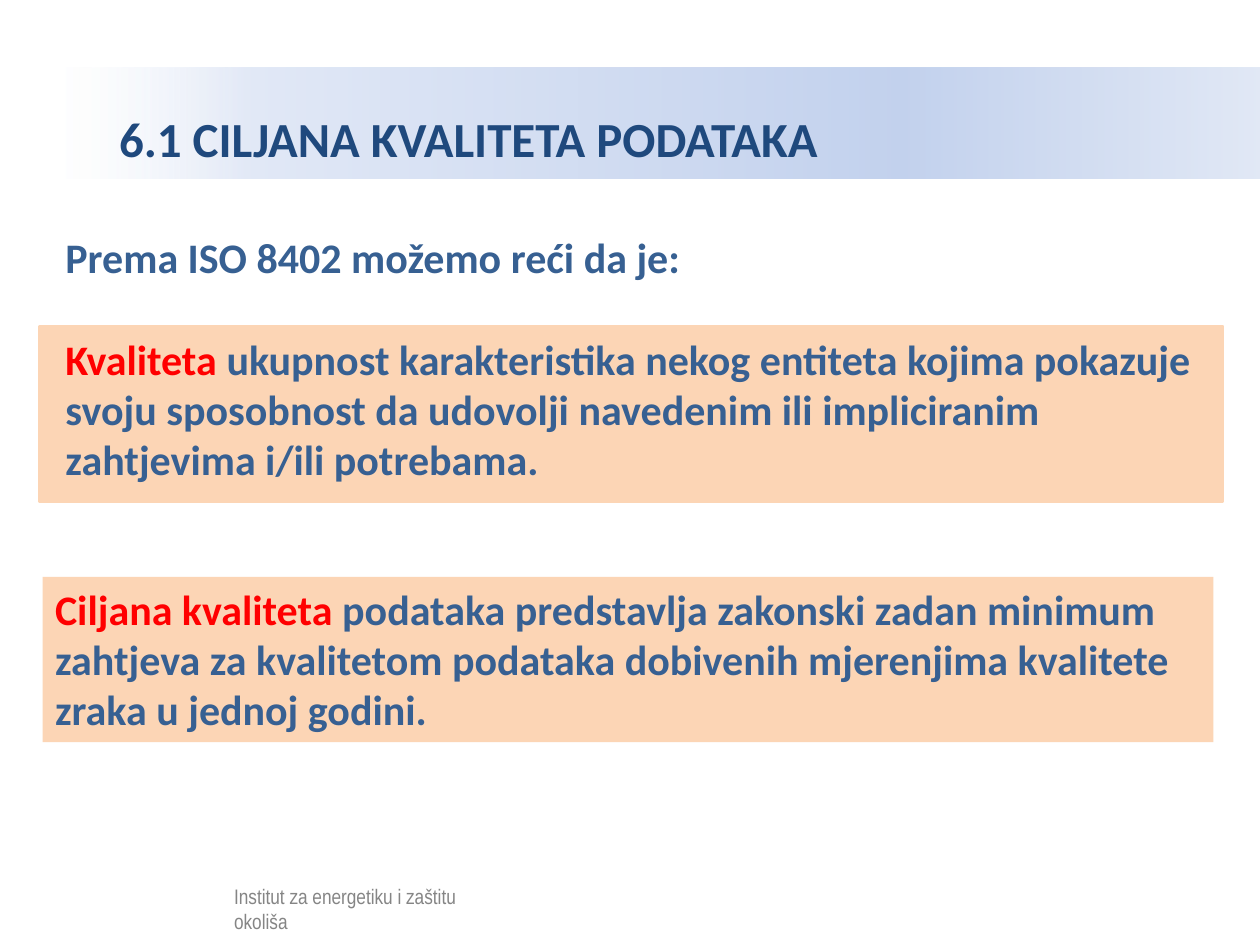
"""Build the slide on target data quality."""
from lxml.etree import SubElement
from pptx import Presentation
from pptx.dml.color import RGBColor
from pptx.enum.shapes import MSO_SHAPE
from pptx.enum.text import MSO_ANCHOR, PP_ALIGN
from pptx.oxml.ns import qn
from pptx.util import Cm, Pt

WHITE = RGBColor(0xFF, 0xFF, 0xFF)
BLACK = RGBColor(0x00, 0x00, 0x00)
PEACH = RGBColor(0xFC, 0xD5, 0xB5)
NAVY = RGBColor(0x1F, 0x49, 0x7D)
BLUE = RGBColor(0x37, 0x60, 0x92)
RED = RGBColor(0xFF, 0x00, 0x00)
PALE = RGBColor(0xE1, 0xE8, 0xF6)
SKY = RGBColor(0xC2, 0xD1, 0xED)
MIST = RGBColor(0xE1, 0xE8, 0xF5)

TITLE = [[("6.1 CILJANA KVALITETA PODATAKA", NAVY)]]
FOOTER = [[("Institut za energetiku i zaštitu okoliša", BLACK)]]
QUALITY = [
    [("Prema ISO 8402 možemo reći da je:", BLUE)],
    [("Kvaliteta ", RED),
     ("ukupnost karakteristika nekog entiteta kojima pokazuje svoju sposobnost "
      "da udovolji navedenim ili impliciranim", BLUE)],
    [("zahtjevima i/ili potrebama.", BLUE)],
]
TARGET = [
    [("Ciljana kvaliteta ", RED),
     ("podataka predstavlja zakonski zadan minimum zahtjeva za kvalitetom podataka "
      "dobivenih mjerenjima kvalitete zraka u jednoj godini.", BLUE)],
]
TITLE_STOPS = [(0, WHITE, 52), (16, PALE, 100), (70, SKY, 100), (100, MIST, 100)]


def add_rectangle(shapes, box, color):
    shape = shapes.add_shape(MSO_SHAPE.RECTANGLE, *map(Cm, box))
    shape.shadow.inherit = False
    shape.fill.solid()
    shape.fill.fore_color.rgb = color
    shape.line.fill.background()
    return shape


def set_alpha(color_element, percent):
    SubElement(color_element, qn("a:alpha")).set("val", str(percent * 1000))


def set_gradient(shape, stops):
    shape.fill.gradient()
    shape.fill.gradient_angle = 0
    stop_list = shape.element.spPr.find(".//" + qn("a:gsLst"))
    for stop in list(stop_list):
        stop_list.remove(stop)
    for position, color, opacity in stops:
        stop = SubElement(stop_list, qn("a:gs"))
        stop.set("pos", str(position * 1000))
        color_element = SubElement(stop, qn("a:srgbClr"))
        color_element.set("val", str(color))
        set_alpha(color_element, opacity)


def write(shape, paragraphs, size=24, font="Calibri", bold=True):
    frame = shape.text_frame
    frame.word_wrap = True
    frame.vertical_anchor = MSO_ANCHOR.TOP
    for index, runs in enumerate(paragraphs):
        paragraph = frame.add_paragraph() if index else frame.paragraphs[0]
        paragraph.alignment = PP_ALIGN.LEFT
        for text, color in runs:
            run = paragraph.add_run()
            run.text = text
            run.font.name = font
            run.font.size = Pt(size)
            run.font.bold = bold
            run.font.color.rgb = color
    return frame


def main():
    presentation = Presentation()
    presentation.slide_width = Cm(25.4)
    presentation.slide_height = Cm(19.05)
    slide = presentation.slides.add_slide(presentation.slide_layouts[6])
    shapes = slide.shapes

    quality_panel = add_rectangle(shapes, (0.81, 6.58, 23.83, 3.53), PEACH)
    quality_panel.line.color.rgb = PEACH
    quality_panel.line.width = Pt(2)

    title = add_rectangle(shapes, (1.27, 1.37, 24.13, 2.24), WHITE)
    set_gradient(title, TITLE_STOPS)
    title_frame = write(title, TITLE, size=28)
    title_frame.vertical_anchor = MSO_ANCHOR.MIDDLE
    title_frame.margin_left = Cm(1.13)
    title_frame.paragraphs[0].line_spacing = 1.5

    footer_group = shapes.add_group_shape()
    footer = footer_group.shapes.add_textbox(Cm(4.47), Cm(17.68), Cm(5.31), Cm(0.64))
    write(footer, FOOTER, size=12, font="Arial Narrow", bold=False)
    veil = add_rectangle(footer_group.shapes, (1.04, 17.6, 9.7, 1.22), WHITE)
    set_alpha(veil.element.spPr.find(".//" + qn("a:srgbClr")), 52)

    quality = shapes.add_textbox(Cm(1.07), Cm(4.55), Cm(23.39), Cm(5.38))
    quality_frame = write(quality, QUALITY)
    quality_frame.paragraphs[1].space_before = Pt(29)

    target = add_rectangle(shapes, (0.86, 11.63, 23.6, 3.33), PEACH)
    write(target, TARGET)

    presentation.save("out.pptx")


if __name__ == "__main__":
    main()
